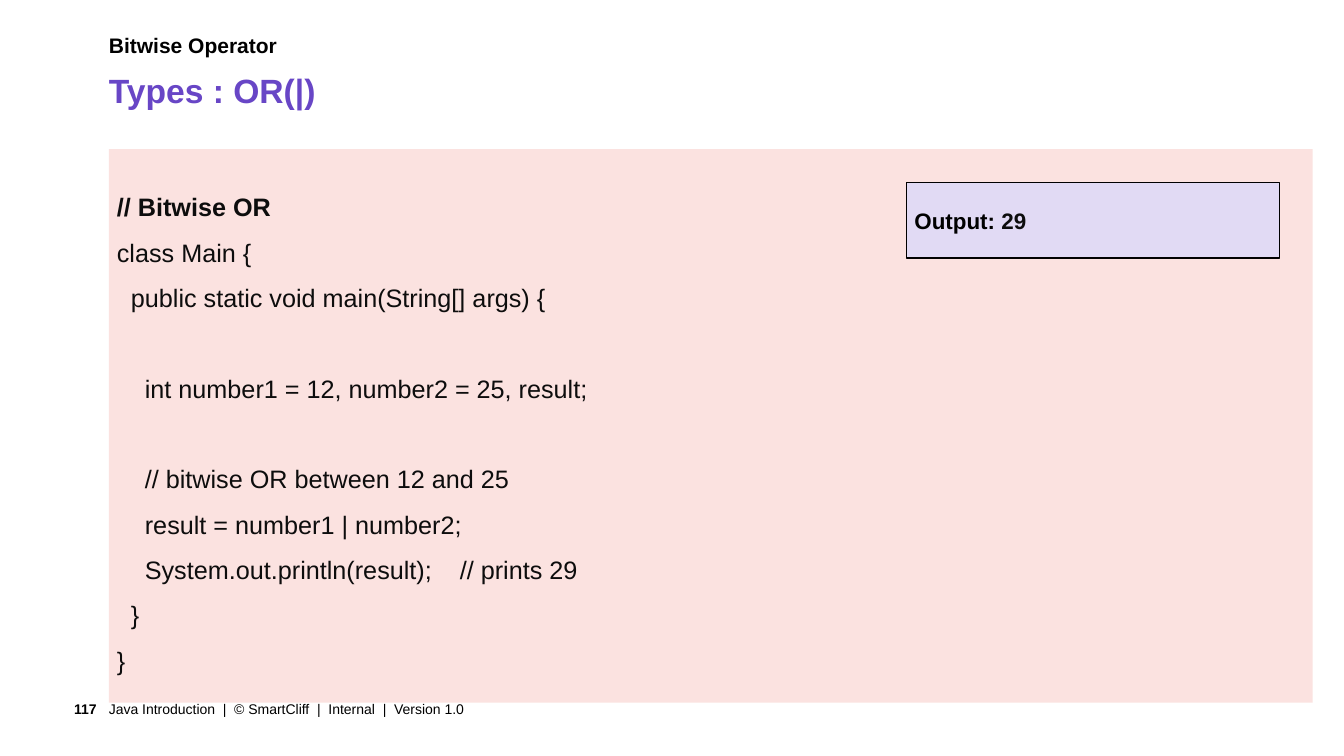
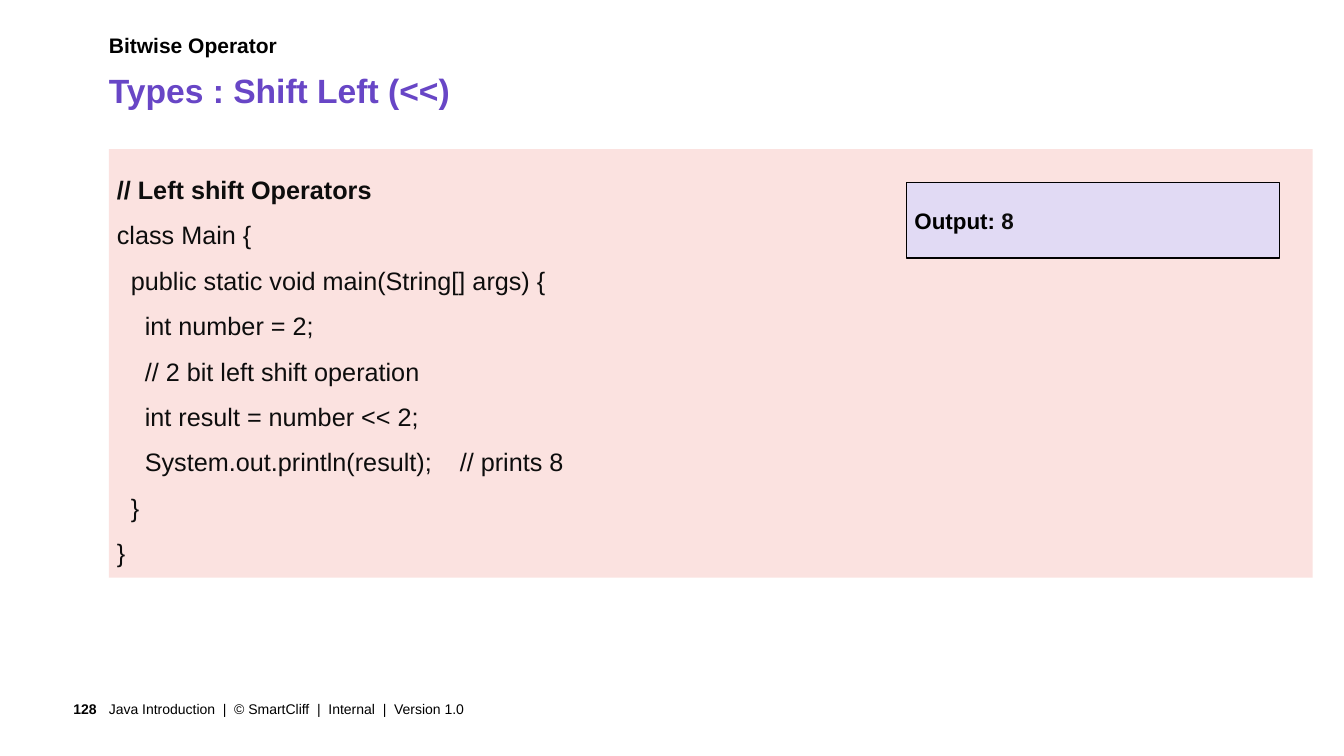
from dataclasses import dataclass

from lxml import etree
from pptx import Presentation
from pptx import util as u
from pptx.dml.color import RGBColor
from pptx.enum import shapes, text
from pptx.oxml.ns import qn


@dataclass(frozen=True)
class Theme:
    face: str = "Arial"
    ink: str = "000000"
    code: str = "0D0D0D"
    title: str = "6846C6"
    panel: str = "FBE2E0"
    badge: str = "E1DAF4"
    title_pt: int = 24
    code_pt: int = 18
    out_pt: int = 16
    topic_pt: int = 15
    foot_pt: int = 10


T = Theme()
LEFT, WIDE = 1.08, 11.94
TOPIC = "Bitwise Operator"
FOOT = "Java Introduction  |  © SmartCliff  |  Internal  |  Version 1.0"
PAD = (0.08,) * 4

OR_CODE = """\
// Bitwise OR
class Main {
  public static void main(String[] args) {

    int number1 = 12, number2 = 25, result;

    // bitwise OR between 12 and 25
    result = number1 | number2;
    System.out.println(result);    // prints 29
  }
}"""

SHIFT_CODE = """\
// Left shift Operators
class Main {
  public static void main(String[] args) {
    int number = 2;
    // 2 bit left shift operation
    int result = number << 2;
    System.out.println(result);    // prints 8
  }
}"""

PAGES = [
    dict(num="117", title="Types : OR(|)", code=OR_CODE, high=5.49, out="29"),
    dict(num="128", title="Types : Shift Left (<<)", code=SHIFT_CODE,
         high=4.25, out="8"),
]


def apply(item, values):
    for name, value in values.items():
        setattr(item, name, value)


def inches(box):
    return [u.Inches(n) for n in box]


def frame(shape, pad=(0, 0, 0, 0), mid=False):
    """Set margins (left, top, right, bottom) and anchor; return the frame."""
    body = shape.text_frame
    sides = ("margin_left", "margin_top", "margin_right", "margin_bottom")
    apply(body, dict(zip(sides, inches(pad))))
    anchor = text.MSO_ANCHOR.MIDDLE if mid else text.MSO_ANCHOR.TOP
    apply(body, dict(word_wrap=True, auto_size=text.MSO_AUTO_SIZE.NONE,
                     vertical_anchor=anchor))
    return body


def write(para, words, size, color=T.ink, bold=False, align="LEFT", lead=1):
    apply(para, dict(alignment=getattr(text.PP_ALIGN, align),
                     line_spacing=lead, space_before=u.Pt(0)))
    if not words:
        end = etree.SubElement(para._p, qn("a:endParaRPr"), sz=str(size * 100))
        etree.SubElement(end, qn("a:latin"), typeface=T.face)
        return
    run = para.add_run()
    run.text = words
    apply(run.font, dict(name=T.face, size=u.Pt(size), bold=bold))
    run.font.color.rgb = RGBColor.from_string(color)


def place(holder, box):
    sides = ("left", "top", "width", "height")
    apply(holder, dict(zip(sides, inches(box))))
    return frame(holder).paragraphs[0]


def header(slide, title, box):
    left, top, wide, high = box
    name, topic = slide.shapes.title, slide.placeholders[1]
    write(place(name, (left, top + 0.37, wide, 0.42)), title,
          T.title_pt, T.title, True)
    para = place(topic, (left, top, wide, 0.41))
    props = para._p.get_or_add_pPr()
    apply_xml = dict(marL="0", indent="0")
    for key, value in apply_xml.items():
        props.set(key, value)
    etree.SubElement(props, qn("a:buNone"))
    write(para, TOPIC, T.topic_pt, bold=True)


def footer(slide, num, box):
    left, top, wide, high = box
    edge = 0.66
    page = slide.shapes.add_textbox(*inches((left, top, edge, high)))
    note = slide.shapes.add_textbox(
        *inches((left + edge, top, wide - edge, high)))
    write(frame(page, (0.1, 0.05, 0.12, 0.05), True).paragraphs[0], num,
          T.foot_pt, bold=True, align="RIGHT")
    write(frame(note, (0, 0.05, 0.1, 0.05), True).paragraphs[0], FOOT,
          T.foot_pt)


def panel(slide, box, fill, line=None):
    shape = slide.shapes.add_shape(shapes.MSO_SHAPE.RECTANGLE, *inches(box))
    shape.shadow.inherit = False
    shape.fill.solid()
    shape.fill.fore_color.rgb = RGBColor.from_string(fill)
    if line:
        shape.line.color.rgb = RGBColor.from_string(line)
        shape.line.width = u.Pt(1)
    else:
        shape.line.fill.background()
    return frame(shape, PAD, True)


def listing(slide, code, out, box):
    """Code panel with its output badge in the top right corner."""
    left, top, wide, high = box
    body = panel(slide, box, T.panel)
    for i, line in enumerate(code.split("\n")):
        para = body.add_paragraph() if i else body.paragraphs[0]
        write(para, line, T.code_pt, T.code, i == 0, lead=1.5)
    gap, size = 0.33, 3.7
    spot = (left + wide - gap - size, top + gap, size, 0.75)
    para = panel(slide, spot, T.badge, T.ink).paragraphs[0]
    write(para, "Output: ", T.out_pt, bold=True)
    write(para, out, T.out_pt, T.code, True)


def build(deck, page):
    slide = deck.slides.add_slide(deck.slide_layouts[1])
    footer(slide, page["num"], (0.42, 6.88, 10.02, 0.31))
    header(slide, page["title"], (LEFT, 0.32, WIDE, 0.79))
    listing(slide, page["code"], page["out"], (LEFT, 1.48, WIDE, page["high"]))


def main():
    deck = Presentation()
    apply(deck, dict(slide_width=u.Inches(13.33), slide_height=u.Inches(7.5)))
    for page in PAGES:
        build(deck, page)
    deck.save("out.pptx")


if __name__ == "__main__":
    main()
